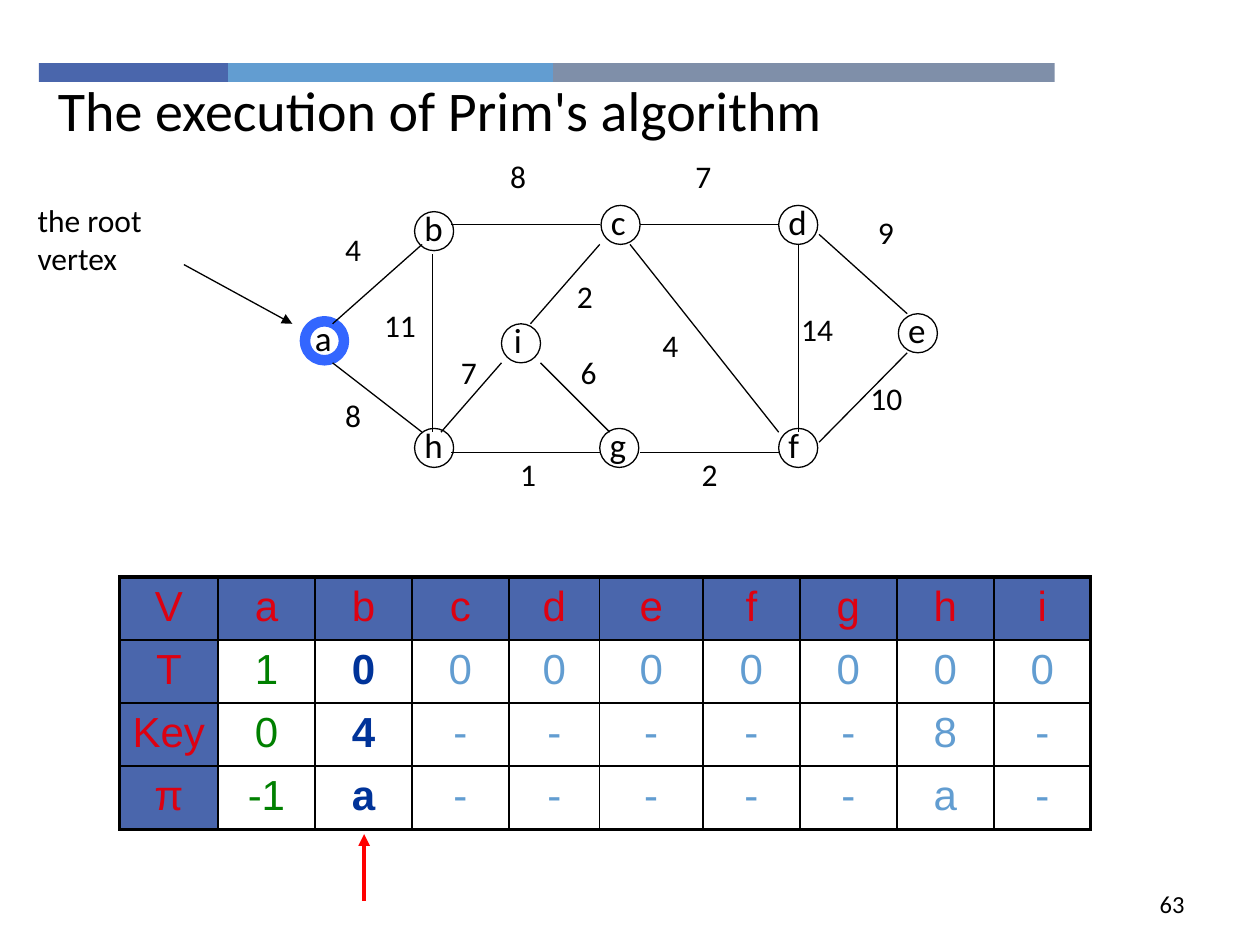
import pptx
import pptx.util
import pptx.dml.color
import pptx.enum.shapes
import pptx.enum.text
import pptx.oxml.ns
import lxml.etree

deck = pptx.Presentation()
deck.slide_width = pptx.util.Inches(10)
deck.slide_height = pptx.util.Inches(7.5)
slide = deck.slides.add_slide(deck.slide_layouts[5])
unit = deck.slide_width / 100  # grid of 100 columns and 75 rows

hues = {"navy": "4A66AC", "sky": "629DD1", "slate": "7F8FA9",
        "black": "000000", "ring": "3366FF", "red": "FF0000",
        "head": "DD0111", "done": "008000", "next": "003399"}
rgb = {name: pptx.dml.color.RGBColor.from_string(code)
       for name, code in hues.items()}
qn = pptx.oxml.ns.qn
align = pptx.enum.text.PP_ALIGN
anchor = pptx.enum.text.MSO_ANCHOR
kind = pptx.enum.shapes.MSO_SHAPE


def put(text, at=None, host=None, size=18, hue="black", font="Calibri",
        bold=False, side=align.LEFT, hold=anchor.TOP):
    """Write text into a host, or into a new text box, placed on the grid."""
    if host is None:
        host = slide.shapes.add_textbox(0, 0, 0, 0)
    if at:
        host.left, host.top, host.width, host.height = [
            round(n * unit) for n in at]
    frame = host.text_frame
    frame.word_wrap = True
    frame.vertical_anchor = hold
    para = frame.paragraphs[0]
    para.alignment = side
    run = para.add_run()
    run.text = text
    run.font.size = pptx.util.Pt(size)
    run.font.name = font
    run.font.bold = bold
    run.font.color.rgb = rgb[hue]


def draw(ends, hue="black", width=0.75, arrow=False):
    """Draw a straight line between two grid points."""
    line = slide.shapes.add_connector(
        pptx.enum.shapes.MSO_CONNECTOR.STRAIGHT,
        *[round(n * unit) for n in ends])
    line.line.color.rgb = rgb[hue]
    line.line.width = pptx.util.Pt(width)
    props = line.element.spPr
    if arrow:
        lxml.etree.SubElement(props.find(qn("a:ln")), qn("a:tailEnd"),
                              type="triangle")
    lxml.etree.SubElement(props, qn("a:effectLst"))


# Top band
left = 3.1
for hue, width in [("navy", 15), ("sky", 25.8), ("slate", 39.8)]:
    bar = slide.shapes.add_shape(
        kind.RECTANGLE, *[round(n * unit) for n in (left, 5, width, 1.5)])
    bar.shadow.inherit = False
    bar.fill.solid()
    bar.fill.fore_color.rgb = rgb[hue]
    bar.line.fill.background()
    left += width

# Title and page number
put("The execution of Prim's algorithm", (3.6, 5.5, 85.8, 6.4),
    host=slide.shapes.title, size=32)
put("63", (71.7, 70, 23.3, 3.5), size=14, side=align.RIGHT,
    hold=anchor.MIDDLE)

# Vertices
nodes = {"a": (24.2, 25.5), "b": (32.9, 16.8), "h": (32.9, 34),
         "c": (47.7, 16.3), "d": (61.8, 16.3), "e": (71.3, 24.9),
         "f": (61.8, 34), "g": (47.6, 34), "i": (39.8, 25.7)}
for name, (x, y) in nodes.items():
    inset = 0 if name == "i" else 0.2
    put(name, (x - inset, y - 0.9, 3.4, 4.3), size=20)
    ring = slide.shapes.add_shape(
        kind.OVAL, *[round(n * unit) for n in (x, y, 3.1, 3.1)])
    ring.shadow.inherit = False
    ring.fill.background()
    root = name == "a"
    ring.line.color.rgb = rgb["ring" if root else "black"]
    ring.line.width = pptx.util.Pt(6 if root else 0.75)

# Edges
edges = [
    (26.4, 25.7, 33.5, 19.4),  # a-b
    (26.4, 28.8, 33.5, 34.3),  # a-h
    (34.3, 20.2, 34.3, 34.3),  # b-h
    (35.8, 17.8, 47.6, 17.8),  # b-c
    (35.8, 35.9, 47.6, 35.9),  # h-g
    (50.8, 35.9, 61.8, 35.9),  # g-f
    (50, 19.4, 61.8, 34.3),    # c-f
    (50.8, 17.8, 61.8, 17.8),  # c-d
    (63.4, 19.4, 63.4, 34.3),  # d-f
    (65, 18.6, 72, 24.9),      # d-e
    (65, 35.1, 72, 28),        # f-e
    (42.9, 28.8, 48.4, 34.3),  # i-g
    (35, 34.3, 39.8, 28.8),    # h-i
    (42.1, 25.7, 47.6, 19.4),  # i-c
]
for ends in edges:
    draw(ends)

# Edge weights
costs = [("4", 26.4, 17.8), ("8", 39.5, 12), ("7", 54.2, 12),
         ("9", 68.7, 16.4), ("10", 68.1, 29.6), ("14", 62.6, 24.1),
         ("4", 51.6, 25.4), ("2", 44.8, 21.5), ("2", 54.7, 35.6),
         ("6", 45.1, 27.5), ("1", 40.3, 35.6), ("7", 35.6, 27.5),
         ("11", 29.5, 23.8), ("8", 26.4, 30.9)]
for cost, x, y in costs:
    put(cost, (x, y, 2.1 + 1.6 * len(cost), 5))

# Root note
put("the root vertex", (2, 15.5, 13.4, 9))
draw((14.6, 21, 23.2, 25.7), arrow=True)

# State table
rows = ["V a b c d e f g h i".split(),
        "T 1 0 0 0 0 0 0 0 0".split(),
        "Key 0 4 - - - - - 8 -".split(),
        "π -1 a - - - - - a -".split()]
wide = [7.8, 7.7, 7.7, 7.7, 7.2, 8.2, 7.7, 7.7, 7.7, 7.7]
high = 5
last, end = len(rows) - 1, len(wide) - 1
table = slide.shapes.add_table(
    len(rows), len(wide), round(9.5 * unit), round(45.8 * unit),
    round(sum(wide) * unit), round(high * len(rows) * unit)).table
table.first_row = table.horz_banding = False
for col, width in zip(table.columns, wide):
    col.width = round(width * unit)
for r, row in enumerate(rows):
    table.rows[r].height = round(high * unit)
    for c, text in enumerate(row):
        cell = table.cell(r, c)
        cell.margin_left = cell.margin_right = round(0.5 * unit)
        head = r == 0 or c == 0
        hue = "head" if head else {1: "done", 2: "next"}.get(c, "sky")
        put(text, host=cell, size=24, hue=hue, font="Arial",
            bold=hue == "next", side=align.CENTER)
        if head:
            cell.fill.solid()
            cell.fill.fore_color.rgb = rgb["navy"]
        else:
            cell.fill.background()
        # Thick outer frame, thin inner rules
        outer = {"L": c == 0, "R": c == end, "T": r == 0, "B": r == last}
        props = cell._tc.get_or_add_tcPr()
        for spot, (edge, thick) in enumerate(outer.items()):
            rule = lxml.etree.Element(
                qn("a:ln" + edge), w=str(pptx.util.Pt(2.25 if thick else 1)))
            fill = lxml.etree.SubElement(rule, qn("a:solidFill"))
            lxml.etree.SubElement(fill, qn("a:srgbClr"), val=hues["black"])
            props.insert(spot, rule)

# Pointer to the current column
draw((28.9, 71.5, 28.9, 66.2), hue="red", width=2.25, arrow=True)

deck.save("out.pptx")
